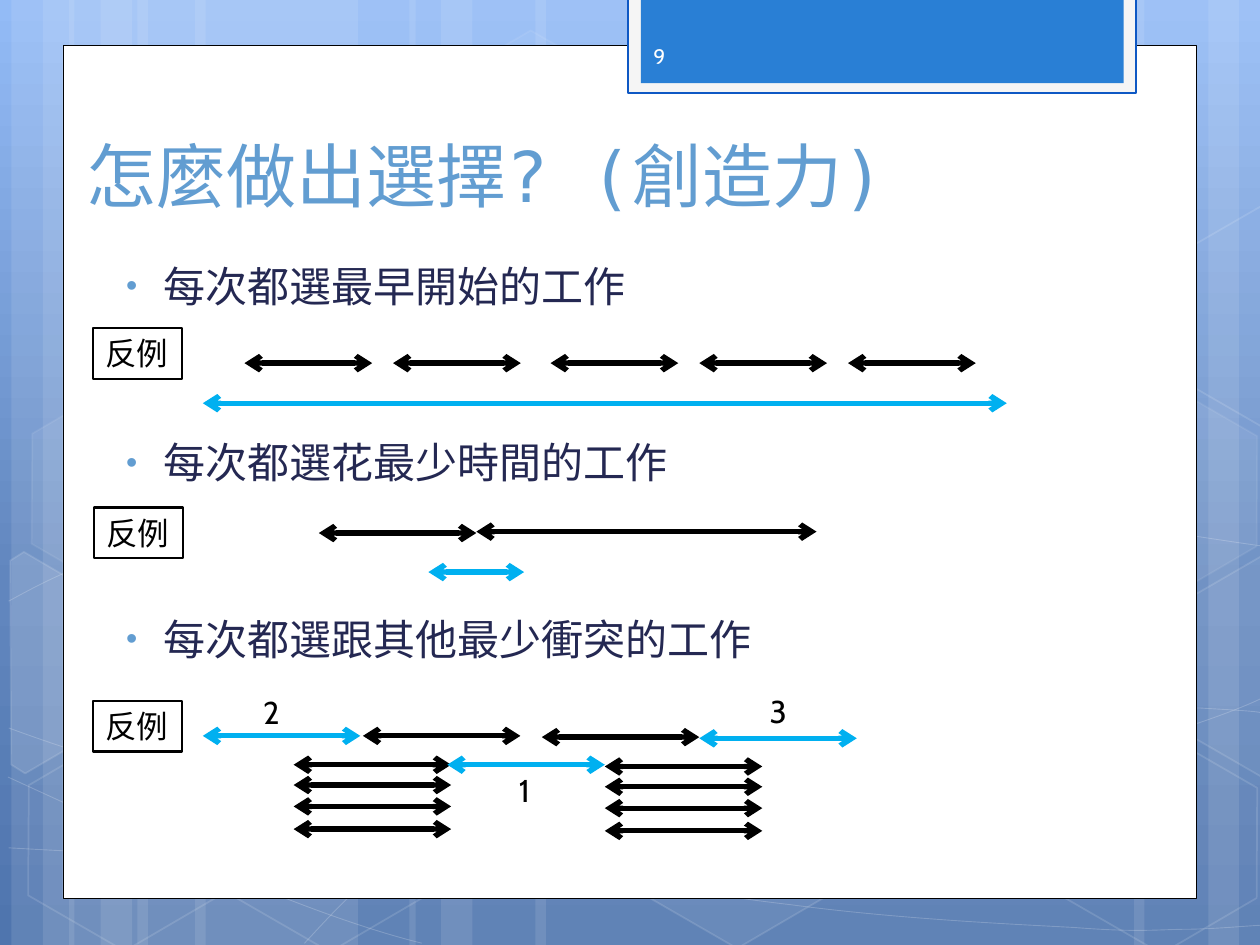
"""Build the slide on counterexamples to greedy job selection."""
from pptx import Presentation
from pptx.dml.color import RGBColor
from pptx.enum.shapes import MSO_CONNECTOR, MSO_SHAPE
from pptx.enum.text import MSO_ANCHOR
from pptx.util import Pt
from pptx.oxml.ns import qn
from lxml.etree import SubElement
from copy import deepcopy

HEX = {"white": "FFFFFF", "black": "000000", "sky": "00B0F0", "title": "629DD1",
       "body": "242852", "frame": "F5F5F5", "edge": "0E58C4", "tab": "297FD5",
       "page": "FEFEFE", "top": "93BBF6", "mid": "6186BE", "low": "4F75AE"}

STRIPES = [(78.5, 126), (6.5, 36), (24.5, 60), (111.5, 126), (39.5, 36), (57.5, 60),
           (528, 126), (690.5, 36), (648, 60), (306, 222), (234, 36), (252, 60)]

CURVES = [
    [(5, 484.5), (44, 486.7), (83, 489), (137, 488), (191, 487.5), (258, 486),
     (330, 479), (402, 471.5), (504, 458), (570, 444), (636, 430.5), (703, 409), (725, 397)],
    [(5, 343.5), (26, 332), (47, 321), (87, 310), (128, 299.5), (186, 284),
     (250, 278.6), (314, 273.6), (392, 273), (471, 278.6), (550, 284), (682, 307), (725, 312.5)],
    [(4.5, 444), (91.5, 484), (178, 523.5), (241, 539)],
    [(5, 416), (27, 424), (50, 432), (92, 443.5), (134, 454), (197, 472),
     (257, 484.5), (317, 497), (392, 510), (452, 517), (512, 525), (576, 528),
     (614, 530), (652, 533), (662, 531), (680, 531), (699, 530.6), (712, 529), (725, 528.5)],
    [(174, 539), (187, 525), (200, 510.5), (217, 497.5), (235, 484), (259, 470),
     (279, 460), (299.5, 450), (312, 445.7), (338, 438.5), (364, 431), (413, 421),
     (438, 416), (464, 411), (467, 411), (490, 409.7), (512, 407.5), (547, 405.4),
     (572, 404.6), (597, 404), (638, 404.6), (638, 404.6), (654, 404.6), (670, 404.6),
     (686, 404.6), (699, 405.4), (711, 406), (718, 406.8), (722, 407.5), (720, 407), (724, 407.5)],
]

HEXES = [(240.5, 26, 4, 8), (358, 424, 6, 12), (8, 425.5, 0, 12), (10, 224.6, 7, 8),
         (125.3, 426, 0, 12), (542, 326, 10, 12), (600.5, 427, 0, 12), (600.5, 226, 7, 8)]

SHARDS = [
    ([(5.8, 320.4), (13.7, 315.4), (69, 347.8), (68.4, 410.4), (14.4, 442), (6.5, 437)], 10),
    ([(666.7, 349.2), (721.4, 317.5), (726.5, 321), (726.5, 441.4), (721.4, 444.2), (666.7, 412.6)], 4),
    ([(666.7, 149), (721.4, 117.4), (727.2, 121), (726.5, 241.2), (721.4, 244), (666.7, 212.4)], 0),
]

JOBS = [("sky", 115.9, 230.4, 459.4), ("black", 182.2, 304.6, 90),
        ("black", 272.2, 303.8, 194.4), ("sky", 244.8, 326.9, 54.7),
        ("sky", 255.6, 437, 90), ("black", 207.4, 420.5, 90),
        ("black", 309.6, 421.2, 90), ("sky", 399.6, 421.9, 90), ("sky", 115.9, 420.5, 90)]


def tint(fill, name, alpha=100):
    """Fill with a named colour at a percentage of opacity."""
    if not alpha:
        fill.background()
        return
    fill.solid()
    fill.fore_color.rgb = RGBColor.from_string(HEX[name])
    if alpha < 100:
        node = fill._xPr.find(".//" + qn("a:srgbClr"))
        SubElement(node, qn("a:alpha"), val=str(alpha * 1000))


def dress(shape, fill, alpha=100, line=None, width=1, clear=100):
    """Set the fill and outline of a shape."""
    shape.shadow.inherit = False
    tint(shape.fill, fill, alpha)
    tint(shape.line.fill, line, clear if line else 0)
    if line:
        shape.line.width = Pt(width)
    return shape


def block(slide, box, kind=MSO_SHAPE.RECTANGLE):
    """Add a preset shape in a box of points."""
    return slide.shapes.add_shape(kind, *map(Pt, box))


def trace(slide, pts, shut):
    """Add an outline through the given points."""
    pen = slide.shapes.build_freeform(Pt(pts[0][0]), Pt(pts[0][1]), 1)
    pen.add_line_segments([(Pt(x), Pt(y)) for x, y in pts[1:]], close=shut)
    return pen.convert_to_shape()


def curve(slide, knots):
    """Add a chain of cubic curves, three knots to each."""
    shape = trace(slide, knots, False)
    route = shape._element.find(".//" + qn("a:pathLst"))[0]
    legs = route.findall(qn("a:lnTo"))
    for i in range(0, len(legs), 3):
        arc = SubElement(route, qn("a:cubicBezTo"))
        for leg in legs[i:i + 3]:
            arc.append(leg[0])
            route.remove(leg)
    return shape


def style(para, size, color, face="Cabin"):
    """Format each run of a paragraph."""
    for run in para.runs:
        run.font.size, run.font.name = Pt(size), face
        run.font.color.rgb = RGBColor.from_string(HEX[color])


def label(slide, box, text, size, color, face="Cabin", anchor=MSO_ANCHOR.TOP, wrap=True):
    """Add a text box with one paragraph."""
    shape = slide.shapes.add_textbox(*map(Pt, box))
    frame = shape.text_frame
    frame.text, frame.word_wrap, frame.vertical_anchor = text, wrap, anchor
    style(frame.paragraphs[0], size, color, face)
    return shape


def points(slide, box, lines):
    """Add the widely spaced bullet list."""
    frame = slide.shapes.add_textbox(*map(Pt, box)).text_frame
    frame.text, frame.word_wrap = "\n".join(lines), True
    for i, para in enumerate(frame.paragraphs):
        para.space_before = Pt(72 if i else 0)
        style(para, 24, "body")
        prop = para._p.get_or_add_pPr()
        prop.set("marL", str(Pt(27.4)))
        prop.set("indent", str(-Pt(21.6)))
        SubElement(SubElement(prop, qn("a:buClr")), qn("a:srgbClr"), val=HEX["title"])
        SubElement(prop, qn("a:buSzPct"), val="76000")
        SubElement(prop, qn("a:buFont"), typeface="Arial")
        SubElement(prop, qn("a:buChar"), char="•")


def arrow(slide, color, x, y, span):
    """Add a level line with arrowheads at both ends."""
    line = slide.shapes.add_connector(MSO_CONNECTOR.STRAIGHT, Pt(x), Pt(y), Pt(x + span), Pt(y))
    tint(line.line.fill, color)
    line.line.width = Pt(3)
    for end in ("a:headEnd", "a:tailEnd"):
        SubElement(line.line._get_or_add_ln(), qn(end), type="arrow")
    SubElement(line._element.spPr, qn("a:effectLst"))


def sky(slide):
    """Paint the three-stop background gradient."""
    fill = slide.background.fill
    fill.gradient()
    fill.gradient_angle = 270
    stops = slide._element.find(".//" + qn("a:gsLst"))
    stops.append(deepcopy(stops[-1]))
    for stop, name, place in zip(fill.gradient_stops, ("top", "mid", "low"), (0, 0.62, 1)):
        stop.color.rgb = RGBColor.from_string(HEX[name])
        stop.position = place


def decor(slide):
    """Draw the stripes, curves, hexagons and page frame."""
    sky(slide)
    for x, wide in STRIPES:
        dress(block(slide, (x, 0, wide, 540)), "white", 10)
    for knots in CURVES:
        dress(curve(slide, knots), "white", 0, "white", 0.5, 20)
    for x, y, alpha, clear in HEXES:
        cell = block(slide, (x, y, 126, 109.4), MSO_SHAPE.HEXAGON)
        cell.adjustments[0], cell.adjustments[1] = 0.285, 1.155
        cell.rotation = 30
        dress(cell, "white", alpha, "white", 1, clear)
    for pts, alpha in SHARDS:
        dress(trace(slide, pts, True), "white", alpha, "white", 1, 12)
    dress(block(slide, (36, 26, 648, 487.5)), "white", 100, "black", 0.5)
    dress(block(slide, (359, -1.5, 290, 54.8)), "frame", 100, "edge", 1.25)
    dress(block(slide, (366.3, -1.5, 275.8, 49)), "tab")


def main():
    """Build and save the slide."""
    deck = Presentation()
    deck.slide_width, deck.slide_height = Pt(720), Pt(540)
    slide = deck.slides.add_slide(deck.slide_layouts[6])
    decor(slide)
    label(slide, (42.5, 37.5, 635, 90), "怎麼做出選擇? (創造力)", 40, "title",
          "DejaVu Sans Mono", MSO_ANCHOR.BOTTOM)
    points(slide, (59.2, 145.3, 607, 351.5),
           ["每次都選最早開始的工作", "每次都選花最少時間的工作", "每次都選跟其他最少衝突的工作"])
    label(slide, (366.3, 17.3, 105, 29), "9", 12, "page", anchor=MSO_ANCHOR.MIDDLE)
    for x in (139.7, 224.6, 314.6, 399.6, 484.6):
        arrow(slide, "black", x, 207.5, 73)
    for x, drop in ((167.8, 0), (345.6, 1)):
        for y in (437, 448.6, 460.8, 473.8):
            arrow(slide, "black", x, y + drop, 90)
    for job in JOBS:
        arrow(slide, *job)
    for text, x, y in (("1", 289.4, 437), ("2", 143.3, 392.4), ("3", 432.7, 391.7)):
        label(slide, (x, y, 23.5, 29), text, 18, "black", wrap=False)
    for x, y in ((53, 187.4), (53.6, 290), (53, 400.5)):
        tag = label(slide, (x, y, 51, 29), "反例", 18, "black", wrap=False)
        dress(tag, "white", 100, "black", 1.25)
    deck.save("out.pptx")


if __name__ == "__main__":
    main()
